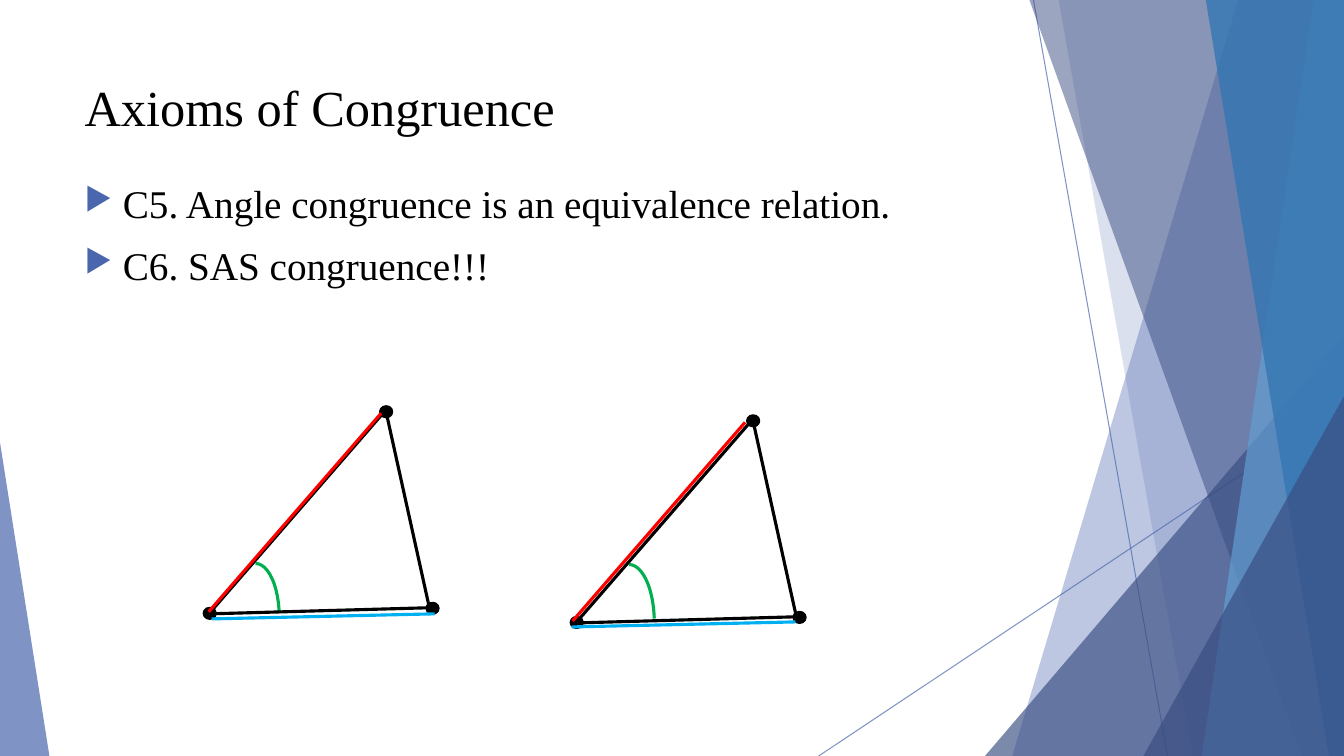
from dataclasses import dataclass

from lxml.etree import SubElement
from pptx import Presentation
from pptx.dml.color import RGBColor
from pptx.enum.shapes import MSO_CONNECTOR, MSO_SHAPE
from pptx.oxml.ns import qn
from pptx.util import Emu, Pt

SCALE = 9144  # EMU per px, 100 px to the inch
WIDTH, HEIGHT = 1333, 750
FONT = "Times New Roman"
BLACK, RED, GREEN, CYAN = "000000", "FF0000", "00B050", "00B0F0"
BLUE, NAVY, SKY, AZURE = "4A66AC", "384C81", "629DD1", "3477B2"


@dataclass
class Band:
    """Strip that reaches from a slanted left edge to the right slide edge."""
    top_left: int
    bottom_left: int
    color: str
    opacity: int


@dataclass
class Wedge:
    """Right triangle standing on the bottom slide edge."""
    left: int
    top: int
    width: int
    peak: int
    color: str
    opacity: int


@dataclass
class Segment:
    start: tuple[int, int]
    end: tuple[int, int]
    color: str = BLACK
    weight: float = 2.25
    opacity: int = 100


@dataclass
class Arc:
    left: int
    top: int
    width: int
    height: int


BACKDROP = [
    Segment((1025, 0), (1158, 750), BLUE, 0.75, 70),
    Segment((1333, 403), (812, 750), BLUE, 0.75, 70),
    Band(1228, 1004, BLUE, 36),
    Band(1050, 1183, BLUE, 20),
    Wedge(977, 333, 356, 1, NAVY, 66),
    Band(1021, 1291, NAVY, 50),
    Band(1303, 1192, SKY, 70),
    Band(1196, 1318, AZURE, 80),
    Wedge(1134, 393, 199, 1, NAVY, 66),
    Wedge(0, 439, 49, 0, BLUE, 70),
]
ANGLE_ARCS = [Arc(230, 559, 47, 106), Arc(599, 560, 50, 115)]

# First triangle; the second one is the same, moved by an offset
VERTICES = [(202, 603), (423, 598), (377, 403)]
SIDES = [((208, 608), (379, 411)), ((383, 409), (425, 599)), ((208, 609), (423, 603))]
OFFSETS = [(0, 0), (364, 9)]

CONGRUENT_SIDES = [
    Segment((207, 607), (378, 410), RED),
    Segment((568, 616), (739, 419), RED),
    Segment((210, 614), (431, 609), CYAN),
    Segment((567, 622), (789, 617), CYAN),
]
AXIOMS = ["C5. Angle congruence is an equivalence relation.", "C6. SAS congruence!!!"]

deck = Presentation()
deck.slide_width, deck.slide_height = Emu(WIDTH * SCALE), Emu(HEIGHT * SCALE)
page = deck.slides.add_slide(deck.slide_layouts[6])


def px(*lengths: int) -> list[Emu]:
    return [Emu(length * SCALE) for length in lengths]


def paint(target, color: str, opacity: int = 100) -> None:
    """Give a fill one solid colour, see-through if asked."""
    target.solid()
    target.fore_color.rgb = RGBColor.from_string(color)
    if opacity < 100:
        for solid_color in target._xPr.iter(qn("a:srgbClr")):
            SubElement(solid_color, qn("a:alpha")).set("val", str(opacity * 1000))


def fill_shape(shape, color: str, opacity: int = 100) -> None:
    shape.shadow.inherit = False
    shape.line.fill.background()
    paint(shape.fill, color, opacity)


def draw_band(band: Band) -> None:
    builder = page.shapes.build_freeform(band.top_left, 0, scale=SCALE)
    builder.add_line_segments([(WIDTH, 0), (WIDTH, HEIGHT), (band.bottom_left, HEIGHT)])
    fill_shape(builder.convert_to_shape(), band.color, band.opacity)


def draw_wedge(wedge: Wedge) -> None:
    frame = px(wedge.left, wedge.top, wedge.width, HEIGHT - wedge.top)
    shape = page.shapes.add_shape(MSO_SHAPE.ISOSCELES_TRIANGLE, *frame)
    shape.adjustments[0] = wedge.peak
    fill_shape(shape, wedge.color, wedge.opacity)


def draw_segment(segment: Segment) -> None:
    ends = px(*segment.start, *segment.end)
    line = page.shapes.add_connector(MSO_CONNECTOR.STRAIGHT, *ends)
    line.line.width = Pt(segment.weight)
    paint(line.line.fill, segment.color, segment.opacity)
    SubElement(line._element.spPr, qn("a:effectLst"))


def draw_arc(arc: Arc) -> None:
    frame = px(arc.left, arc.top, arc.width, arc.height)
    shape = page.shapes.add_shape(MSO_SHAPE.ARC, *frame)
    shape.adjustments[0], shape.adjustments[1] = 162, 210.65
    shape.shadow.inherit = False
    shape.fill.background()
    shape.line.width = Pt(2.25)
    paint(shape.line.fill, GREEN)


def draw_vertex(left: int, top: int) -> None:
    dot = page.shapes.add_shape(MSO_SHAPE.OVAL, *px(left, top, 12, 11))
    fill_shape(dot, BLACK)
    dot.line.width = Pt(1.5)
    paint(dot.line.fill, BLACK)


def add_bullet(para) -> None:
    properties = para._p.get_or_add_pPr()
    indent = px(38)[0]
    properties.set("marL", str(indent))
    properties.set("indent", str(-indent))
    color = SubElement(properties, qn("a:buClr"))
    SubElement(color, qn("a:srgbClr")).set("val", BLUE)
    SubElement(properties, qn("a:buSzPct")).set("val", "80000")
    SubElement(properties, qn("a:buChar")).set("char", "▶")


def write(lines: list[str], *, top: int, height: int, size: int,
          bullets: bool = False, gap: float = 0) -> None:
    box = page.shapes.add_textbox(*px(74, top, 940, height))
    box.text_frame.word_wrap = True
    for index, line in enumerate(lines):
        para = box.text_frame.paragraphs[0] if index == 0 else box.text_frame.add_paragraph()
        if index:
            para.space_before = Pt(gap)
        if bullets:
            add_bullet(para)
        span = para.add_run()
        span.text = line
        span.font.name, span.font.size = FONT, Pt(size)
        span.font.color.rgb = RGBColor.from_string(BLACK)


# Slanted backdrop
DRAWERS = {Segment: draw_segment, Band: draw_band, Wedge: draw_wedge}
for part in BACKDROP:
    DRAWERS[type(part)](part)

# Title and axioms
write(["Axioms of Congruence"], top=71, height=100, size=36)
write(AXIOMS, top=173, height=136, size=28, bullets=True, gap=11)

# Two triangles with equal angles and sides
for arc in ANGLE_ARCS:
    draw_arc(arc)
for dx, dy in OFFSETS:
    for x, y in VERTICES:
        draw_vertex(x + dx, y + dy)
    for (x1, y1), (x2, y2) in SIDES:
        draw_segment(Segment((x1 + dx, y1 + dy), (x2 + dx, y2 + dy)))
for side in CONGRUENT_SIDES:
    draw_segment(side)

deck.save("out.pptx")
